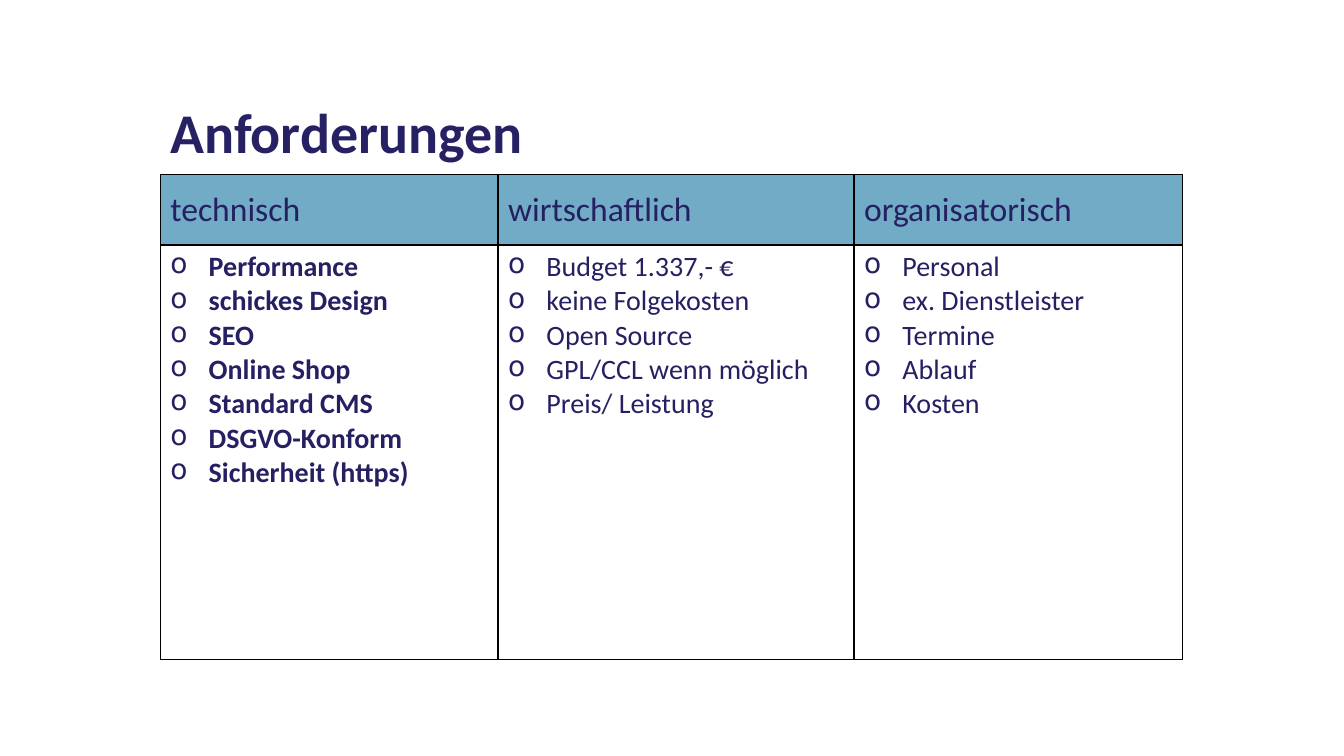
from dataclasses import dataclass

from lxml import etree
from pptx import Presentation
from pptx.dml.color import RGBColor
from pptx.enum import text
from pptx.oxml import ns
from pptx.util import Inches, Pt


@dataclass(frozen=True)
class Theme:
    font: str = "Calibri"
    title_color: str = "262162"
    text_color: str = "252062"
    header_fill: str = "71ABC6"
    border_color: str = "000000"
    border_width: float = 1
    title_size: float = 40
    header_size: float = 24
    body_size: float = 20


@dataclass(frozen=True)
class Category:
    heading: str
    width: float
    items: tuple[str, ...]
    bold: bool = False


THEME = Theme()
BULLET_INDENT = 0.38
HEADER_HEIGHT, BODY_HEIGHT = 0.7, 4.11
LEFT, TABLE_TOP = 1.59, 1.73
CATEGORIES = (
    Category("technisch", 3.35, (
        "Performance", "schickes Design", "SEO", "Online Shop",
        "Standard CMS", "DSGVO-Konform", "Sicherheit (https)"), bold=True),
    Category("wirtschaftlich", 3.53, (
        "Budget 1.337,- €", "keine Folgekosten", "Open Source",
        "GPL/CCL wenn möglich", "Preis/ Leistung")),
    Category("organisatorisch", 3.26, (
        "Personal", "ex. Dienstleister", "Termine", "Ablauf", "Kosten")),
)


def add_span(para, words: str, size: float, color: str, bold: bool = False) -> None:
    span = para.add_run()
    span.text = words
    span.font.name = THEME.font
    span.font.size = Pt(size)
    span.font.bold = bold
    span.font.color.rgb = RGBColor.from_string(color)


def add_bullet(para) -> None:
    """Give the paragraph an "o" bullet with a hanging indent."""
    properties = para._p.get_or_add_pPr()
    properties.set("marL", str(Inches(BULLET_INDENT)))
    properties.set("indent", str(-Inches(BULLET_INDENT)))
    etree.SubElement(properties, ns.qn("a:buChar")).set("char", "o")


def add_borders(cell) -> None:
    """Draw all four edges; the lines must precede the fill in the cell XML."""
    properties = cell._tc.get_or_add_tcPr()
    for index, edge in enumerate(("a:lnL", "a:lnR", "a:lnT", "a:lnB")):
        line = etree.Element(ns.qn(edge), w=str(Pt(THEME.border_width)))
        fill = etree.SubElement(line, ns.qn("a:solidFill"))
        etree.SubElement(fill, ns.qn("a:srgbClr")).set("val", THEME.border_color)
        properties.insert(index, line)


def fill_header(cell, category: Category) -> None:
    cell.fill.solid()
    cell.fill.fore_color.rgb = RGBColor.from_string(THEME.header_fill)
    cell.vertical_anchor = text.MSO_ANCHOR.MIDDLE
    add_span(cell.text_frame.paragraphs[0], category.heading,
             THEME.header_size, THEME.text_color)
    add_borders(cell)


def fill_body(cell, category: Category) -> None:
    cell.fill.background()
    frame = cell.text_frame
    for index, item in enumerate(category.items):
        para = frame.add_paragraph() if index else frame.paragraphs[0]
        add_bullet(para)
        add_span(para, item, THEME.body_size, THEME.text_color, category.bold)
    add_borders(cell)


def add_title(page, words: str) -> None:
    title = page.shapes.title
    title.left, title.top = Inches(LEFT), Inches(0.29)
    title.width, title.height = Inches(4.19), Inches(2.11)
    frame = title.text_frame
    frame.word_wrap = True
    frame.vertical_anchor = text.MSO_ANCHOR.MIDDLE
    para = frame.paragraphs[0]
    para.alignment = text.PP_ALIGN.LEFT
    para.line_spacing = 0.9
    add_span(para, words, THEME.title_size, THEME.title_color, bold=True)


def add_requirements(page, categories: tuple[Category, ...]) -> None:
    width = sum(category.width for category in categories)
    table = page.shapes.add_table(
        2, len(categories), Inches(LEFT), Inches(TABLE_TOP),
        Inches(width), Inches(HEADER_HEIGHT + BODY_HEIGHT)).table
    table.horz_banding = False
    table.rows[0].height = Inches(HEADER_HEIGHT)
    table.rows[1].height = Inches(BODY_HEIGHT)
    for column, category in enumerate(categories):
        table.columns[column].width = Inches(category.width)
        fill_header(table.cell(0, column), category)
        fill_body(table.cell(1, column), category)


def main() -> None:
    deck = Presentation()
    deck.slide_width, deck.slide_height = Inches(13.33), Inches(7.5)
    page = deck.slides.add_slide(deck.slide_layouts[5])
    add_title(page, "Anforderungen")
    add_requirements(page, CATEGORIES)
    deck.save("out.pptx")


if __name__ == "__main__":
    main()
